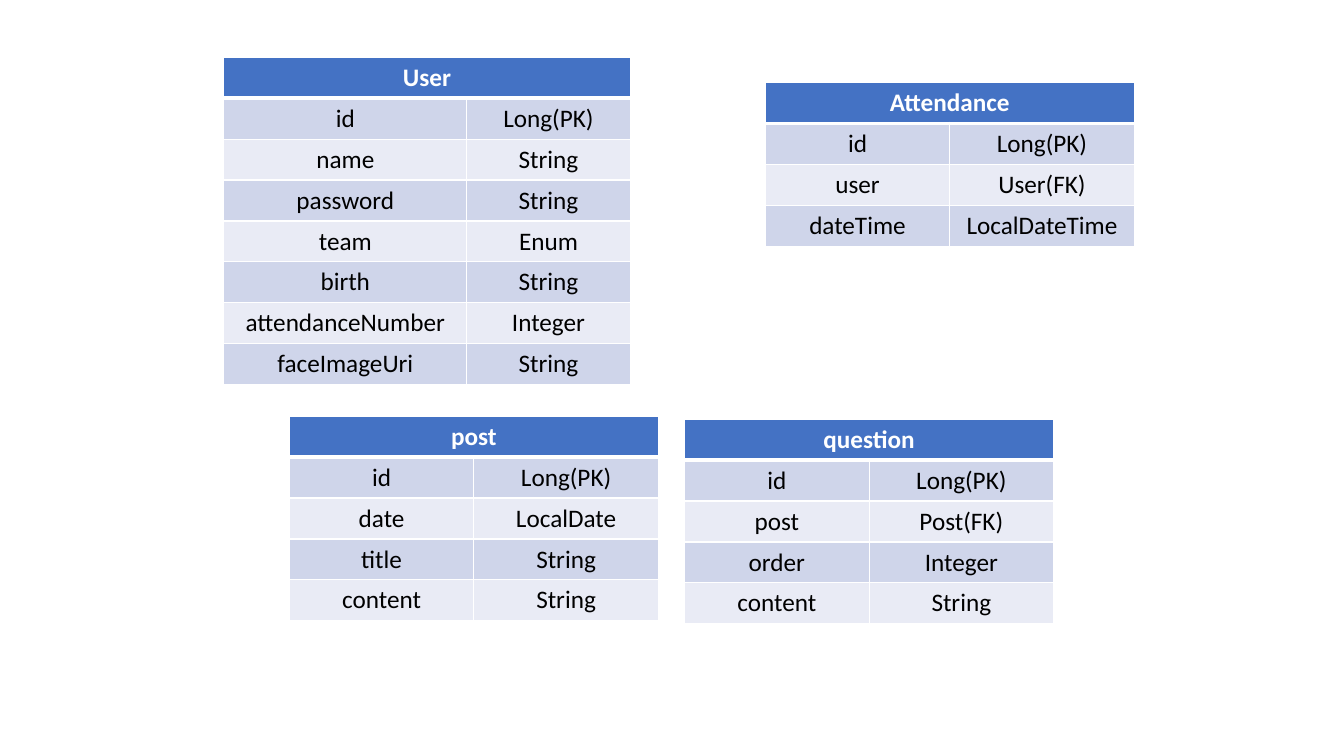
from lxml import etree
from pptx import Presentation
from pptx.dml.color import RGBColor
from pptx.enum import text
from pptx.oxml import ns
from pptx.util import Inches, Pt

WHITE = RGBColor(0xFF, 0xFF, 0xFF)
BLACK = RGBColor(0x00, 0x00, 0x00)
HEADER_BLUE = RGBColor(0x44, 0x72, 0xC4)
BANDS = [RGBColor(0xE9, 0xEB, 0xF5), RGBColor(0xCF, 0xD5, 0xEA)]
ROW_HEIGHT = 0.37

# Entities: name, left, top, column widths, fields
ENTITIES = [
    ("User", 2.22, 0.57, (2.41, 1.62), [
        ("id", "Long(PK)"), ("name", "String"), ("password", "String"),
        ("team", "Enum"), ("birth", "String"),
        ("attendanceNumber", "Integer"), ("faceImageUri", "String")]),
    ("Attendance", 7.59, 0.82, (1.83, 1.83), [
        ("id", "Long(PK)"), ("user", "User(FK)"),
        ("dateTime", "LocalDateTime")]),
    ("post", 2.87, 4.13, (1.83, 1.83), [
        ("id", "Long(PK)"), ("date", "LocalDate"),
        ("title", "String"), ("content", "String")]),
    ("question", 6.79, 4.16, (1.83, 1.83), [
        ("id", "Long(PK)"), ("post", "Post(FK)"),
        ("order", "Integer"), ("content", "String")]),
]


def add_border(cell, side, width):
    properties = cell._tc.get_or_add_tcPr()
    line = etree.SubElement(properties, ns.qn(f"a:ln{side}"), w=str(Pt(width)))
    fill = etree.SubElement(line, ns.qn("a:solidFill"))
    etree.SubElement(fill, ns.qn("a:srgbClr"), val=str(WHITE))


def style_cell(cell, label, row):
    # Borders: a heavier rule separates the header from the fields
    for side in "LRTB":
        heavy = (row, side) in ((0, "B"), (1, "T"))
        add_border(cell, side, 3 if heavy else 1)

    cell.fill.solid()
    cell.fill.fore_color.rgb = BANDS[row % 2] if row else HEADER_BLUE
    cell.vertical_anchor = text.MSO_ANCHOR.MIDDLE
    if label:
        paragraph = cell.text_frame.paragraphs[0]
        paragraph.alignment = text.PP_ALIGN.CENTER
        run = paragraph.add_run()
        run.text = label
        run.font.name = "Calibri"
        run.font.size = Pt(18)
        run.font.bold = row == 0
        run.font.color.rgb = BLACK if row else WHITE


prs = Presentation()
prs.slide_width = Inches(13.33)
prs.slide_height = Inches(7.5)
slide = prs.slides.add_slide(prs.slide_layouts[6])

# One table per entity
for name, left, top, widths, fields in ENTITIES:
    rows = [(name, "")] + fields
    entity = slide.shapes.add_table(
        len(rows), 2, Inches(left), Inches(top),
        Inches(sum(widths)), Inches(ROW_HEIGHT * len(rows))).table
    for column, width in zip(entity.columns, widths):
        column.width = Inches(width)
    entity.cell(0, 0).merge(entity.cell(0, 1))

    for row, labels in enumerate(rows):
        for col, label in enumerate(labels):
            style_cell(entity.cell(row, col), label, row)

prs.save("out.pptx")
